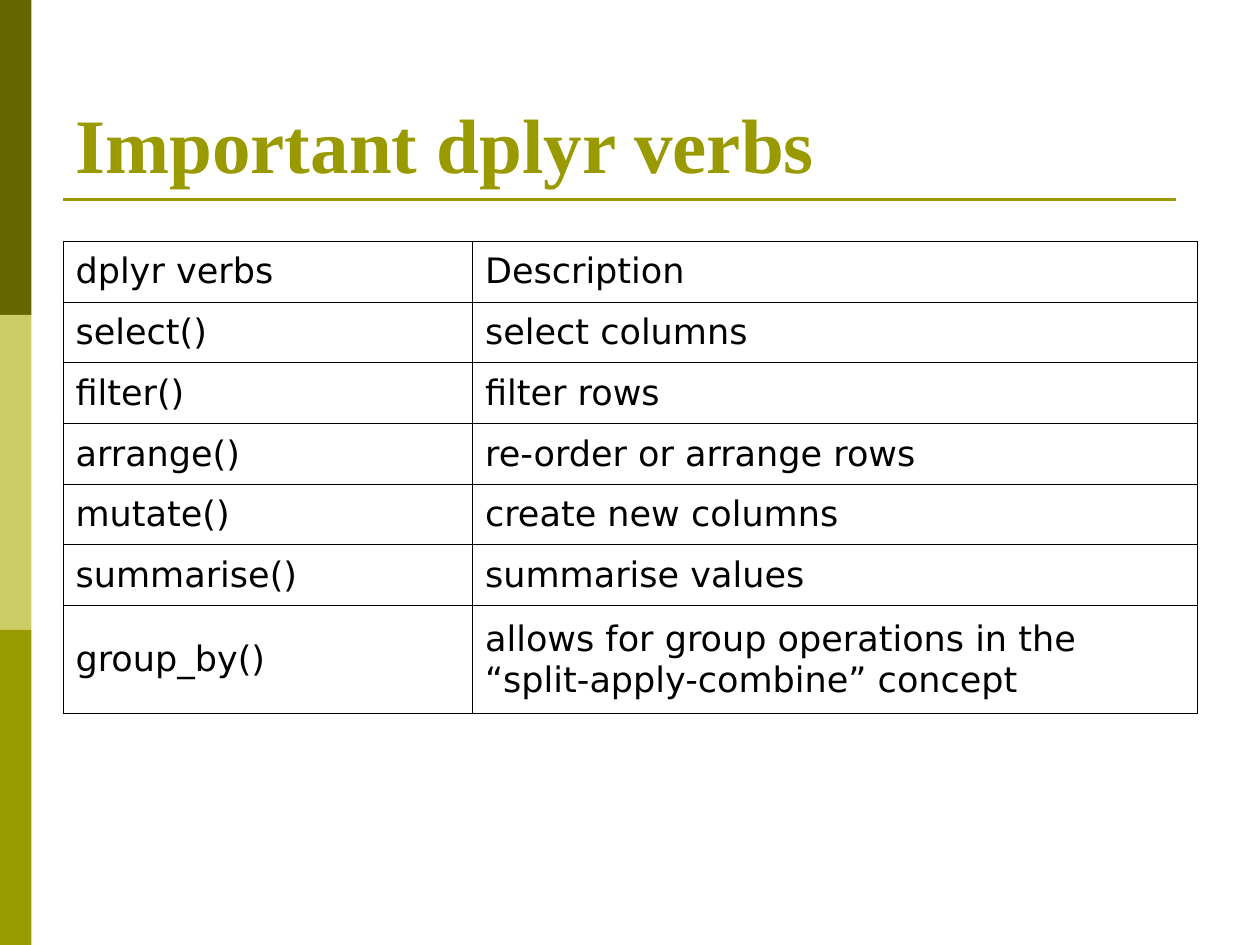
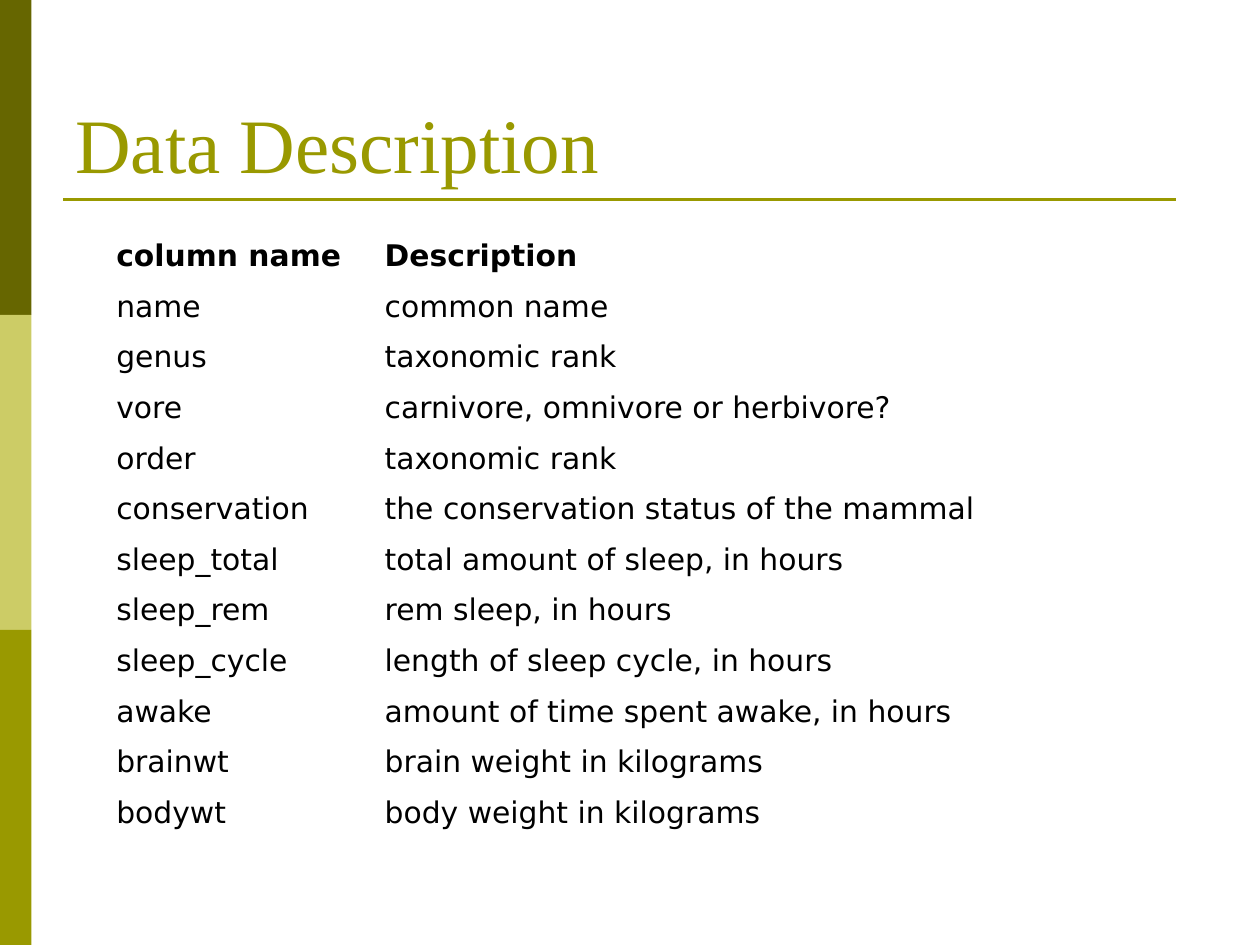
from dataclasses import dataclass

from lxml.etree import SubElement
from pptx import Presentation
from pptx.dml.color import RGBColor as Color
from pptx.enum.shapes import MSO_CONNECTOR as Connector
from pptx.enum.shapes import MSO_SHAPE as Shape
from pptx.enum.text import MSO_ANCHOR as Anchor
from pptx.oxml.ns import qn
from pptx.util import Inches, Pt

COLUMNS, ROWS = 120, 90


@dataclass(frozen=True)
class Theme:
    bands: tuple = ("666600", "CCCC66", "999900")
    accent: str = "999900"
    ink: str = "000000"
    paper: str = "FFFFFF"
    title_font: str = "Times New Roman"
    body_font: str = "DejaVu Sans"
    title_size: float = 44
    verb_size: float = 20
    data_size: float = 17
    rule_width: float = 1.5
    border_width: float = 0.45


class SlideBuilder:
    def __init__(self, deck, theme):
        self.deck = deck
        self.theme = theme
        self.slide = None

    # Grid positions
    def across(self, columns):
        return round(self.deck.slide_width * columns / COLUMNS)

    def down(self, rows):
        return round(self.deck.slide_height * rows / ROWS)

    def area(self, left, top, width, height):
        return (self.across(left), self.down(top),
                self.across(width), self.down(height))

    # Shared frame of every slide
    def new_slide(self, title, bold=False):
        self.slide = self.deck.slides.add_slide(self.deck.slide_layouts[6])
        band_height = ROWS / len(self.theme.bands)
        for index, color in enumerate(self.theme.bands):
            self.band((0, index * band_height, 3, band_height), color)
        self.rule(left=6, right=112, row=19)
        self.title(title, bold)

    def band(self, area, color):
        band = self.slide.shapes.add_shape(Shape.RECTANGLE, *self.area(*area))
        band.shadow.inherit = False
        band.fill.solid()
        band.fill.fore_color.rgb = Color.from_string(color)
        band.line.fill.background()

    def rule(self, left, right, row):
        rule = self.slide.shapes.add_connector(
            Connector.STRAIGHT, self.across(left), self.down(row),
            self.across(right), self.down(row))
        rule.line.color.rgb = Color.from_string(self.theme.accent)
        rule.line.width = Pt(self.theme.rule_width)
        SubElement(rule._element.spPr, qn("a:effectLst"))

    def title(self, text, bold):
        box = self.slide.shapes.add_textbox(*self.area(6, 3.6, 108, 15))
        frame = box.text_frame
        frame.word_wrap = True
        frame.vertical_anchor = Anchor.BOTTOM
        frame.text = text
        self.format_text(frame, self.theme.title_font, self.theme.title_size,
                         self.theme.accent, bold)

    def format_text(self, frame, font, size, color, bold=False):
        for para in frame.paragraphs:
            for span in para.runs:
                span.font.name = font
                span.font.size = Pt(size)
                span.font.bold = bold
                span.font.color.rgb = Color.from_string(color)

    # Tables
    def table(self, records, left, top, widths, heights, size, side_margin,
              bold_header=False, bordered=False):
        table = self.slide.shapes.add_table(
            len(records), len(widths),
            *self.area(left, top, sum(widths), sum(heights))).table
        table.first_row = table.horz_banding = False
        for column, width in zip(table.columns, widths):
            column.width = self.across(width)
        for index, (record, height) in enumerate(zip(records, heights)):
            table.rows[index].height = self.down(height)
            for cell, text in zip(table.rows[index].cells, record):
                cell.text_frame.text = text
                cell.vertical_anchor = Anchor.MIDDLE
                cell.margin_left = cell.margin_right = Inches(side_margin)
                cell.margin_top = cell.margin_bottom = Inches(0.05)
                self.format_text(cell.text_frame, self.theme.body_font, size,
                                 self.theme.ink, bold_header and index == 0)
                self.borders(cell, bordered)
                cell.fill.solid()
                cell.fill.fore_color.rgb = Color.from_string(self.theme.paper)

    def borders(self, cell, visible):
        properties = cell._tc.get_or_add_tcPr()
        for side in ("a:lnL", "a:lnR", "a:lnT", "a:lnB"):
            line = SubElement(properties, qn(side),
                              w=str(Pt(self.theme.border_width)))
            if visible:
                fill = SubElement(line, qn("a:solidFill"))
                SubElement(fill, qn("a:srgbClr"), val=self.theme.ink)
            else:
                SubElement(line, qn("a:noFill"))


VERBS = [
    ("dplyr verbs", "Description"),
    ("select()", "select columns"),
    ("filter()", "filter rows"),
    ("arrange()", "re-order or arrange rows"),
    ("mutate()", "create new columns"),
    ("summarise()", "summarise values"),
    ("group_by()",
     "allows for group operations in the “split-apply-combine” concept"),
]

DATA_COLUMNS = [
    ("column name", "Description"),
    ("name", "common name"),
    ("genus", "taxonomic rank"),
    ("vore", "carnivore, omnivore or herbivore?"),
    ("order", "taxonomic rank"),
    ("conservation", "the conservation status of the mammal"),
    ("sleep_total", "total amount of sleep, in hours"),
    ("sleep_rem", "rem sleep, in hours"),
    ("sleep_cycle", "length of sleep cycle, in hours"),
    ("awake", "amount of time spent awake, in hours"),
    ("brainwt", "brain weight in kilograms"),
    ("bodywt", "body weight in kilograms"),
]


def main():
    deck = Presentation()
    deck.slide_width, deck.slide_height = Inches(10), Inches(7.5)
    theme = Theme()
    builder = SlideBuilder(deck, theme)

    # Verbs of the library; the last row holds two lines
    builder.new_slide("Important dplyr verbs", bold=True)
    builder.table(VERBS, left=6, top=23, widths=(39, 69),
                  heights=[5.78] * (len(VERBS) - 1) + [10.3],
                  size=theme.verb_size, side_margin=0.1, bordered=True)

    # Columns of the data set
    builder.new_slide("Data Description")
    builder.table(DATA_COLUMNS, left=10, top=22, widths=(25.56, 73.56),
                  heights=[4.82] * len(DATA_COLUMNS),
                  size=theme.data_size, side_margin=0.09, bold_header=True)

    deck.save("out.pptx")


if __name__ == "__main__":
    main()
